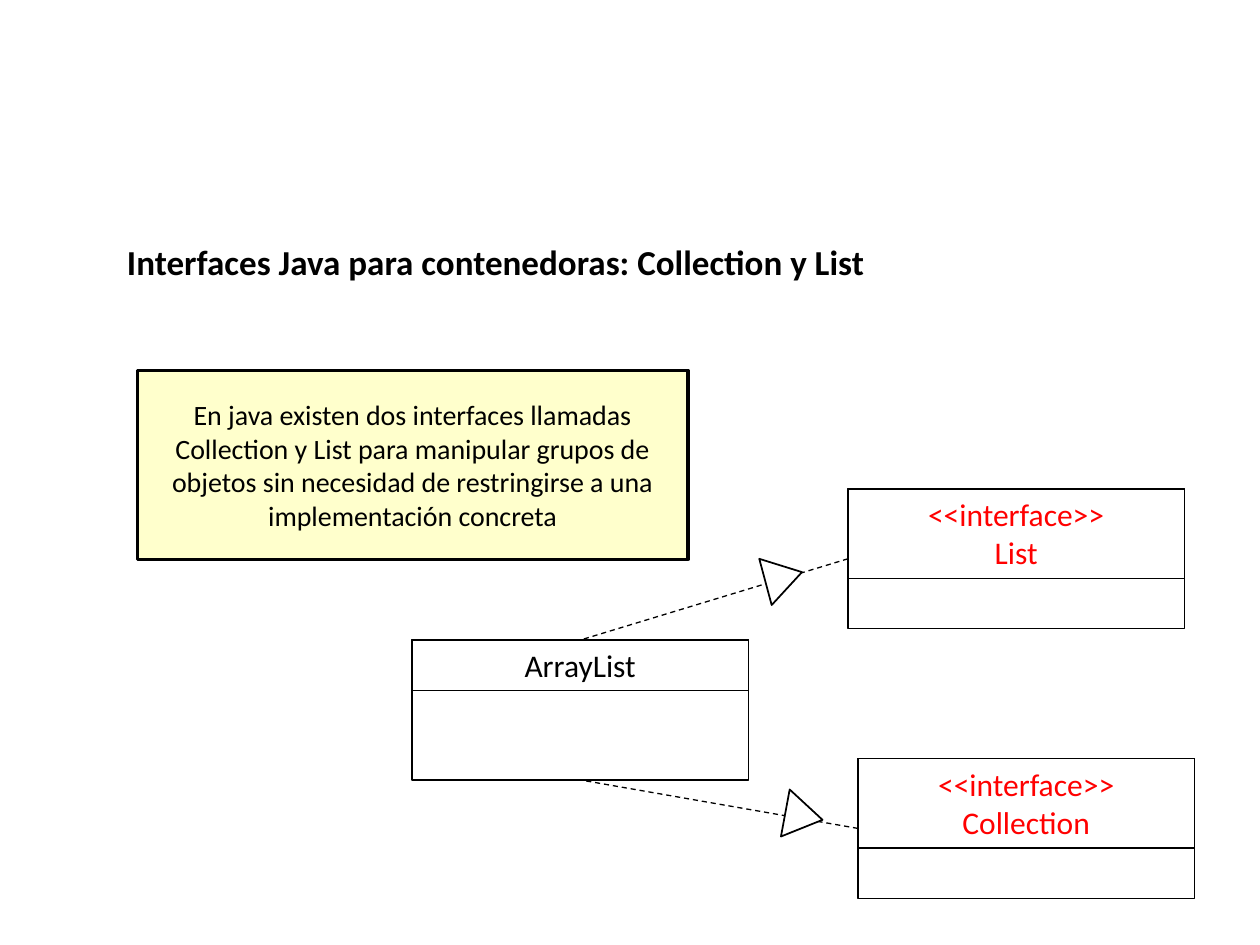
from pptx import Presentation
from pptx.dml.color import RGBColor
from pptx.enum.dml import MSO_LINE
from pptx.enum.shapes import MSO_CONNECTOR, MSO_SHAPE
from pptx.enum.text import MSO_ANCHOR, PP_ALIGN
from pptx.oxml.ns import qn
from pptx.util import Inches, Pt
from lxml.etree import SubElement

BLACK = RGBColor(0x00, 0x00, 0x00)
RED = RGBColor(0xFF, 0x00, 0x00)
WHITE = RGBColor(0xFF, 0xFF, 0xFF)
CREAM = RGBColor(0xFF, 0xFF, 0xCC)

# Grid of 100 columns by 75 rows
deck = Presentation()
deck.slide_width, deck.slide_height = Inches(10), Inches(7.5)
COL, ROW = deck.slide_width / 100, deck.slide_height / 75
slide = deck.slides.add_slide(deck.slide_layouts[6])
shapes = slide.shapes


def add_text(shape, lines, anchor, align, **style):
    frame = shape.text_frame
    frame.word_wrap = True
    frame.vertical_anchor = anchor
    frame.text = "\n".join(lines)
    for para in frame.paragraphs:
        para.alignment = align
        para.font.name = "Calibri"
        para.font.color.rgb = style.pop("color", None) or ink
        for key, value in style.items():
            setattr(para.font, key, value)


def add_box(kind, x, y, w, h, fill=None, width=0.75):
    box = shapes.add_shape(kind, *(int(n) for n in (x * COL, y * ROW, w * COL, h * ROW)))
    box.shadow.inherit = False
    if fill is None:
        box.fill.background()
    else:
        box.fill.solid()
        box.fill.fore_color.rgb = fill
    box.line.color.rgb = BLACK
    box.line.width = Pt(width)
    return box


# Title
ink = BLACK
title = shapes.add_textbox(*(int(n) for n in (9.1 * COL, 18.6 * ROW, 84 * COL, 4.4 * ROW)))
add_text(title, ["Interfaces Java para contenedoras: Collection y List"],
         MSO_ANCHOR.TOP, PP_ALIGN.LEFT, size=Pt(20), bold=True)

# Class boxes, each with a name compartment on top
types = {
    "ArrayList": (32.7, 50.8, 4, BLACK, ["ArrayList"]),
    "List": (67.3, 38.8, 7.1, RED, ["<<interface>>", "List"]),
    "Collection": (68.1, 60.2, 7.1, RED, ["<<interface>>", "Collection"]),
}
boxes = {}
for name, (x, y, h, ink, lines) in types.items():
    boxes[name] = add_box(MSO_SHAPE.RECTANGLE, x, y, 26.7, 11.1)
    head = add_box(MSO_SHAPE.RECTANGLE, x, y, 26.7, h)
    add_text(head, lines, MSO_ANCHOR.TOP, PP_ALIGN.CENTER, size=Pt(18))

# Dashed links from each interface to the class
for name, side in (("List", 0), ("Collection", 2)):
    link = shapes.add_connector(MSO_CONNECTOR.STRAIGHT, 0, 0, 0, 0)
    link.begin_connect(boxes[name], 1)
    link.end_connect(boxes["ArrayList"], side)
    link.line.color.rgb = BLACK
    link.line.width = Pt(0.75)
    link.line.dash_style = MSO_LINE.DASH
    SubElement(link._element.spPr, qn("a:effectLst"))

# Hollow arrowheads
for x, y, turn in ((60.3, 44.3, 75), (61.9, 63.3, 100.5)):
    tip = add_box(MSO_SHAPE.ISOSCELES_TRIANGLE, x, y, 3.8, 3, WHITE, 1)
    tip.rotation = turn

# Note
ink = BLACK
note = add_box(MSO_SHAPE.RECTANGLE, 10.9, 29.4, 43.7, 15, CREAM, 2)
add_text(note, ["En java existen dos interfaces llamadas Collection y List para "
                "manipular grupos de objetos sin necesidad de restringirse a una "
                "implementación concreta"],
         MSO_ANCHOR.MIDDLE, PP_ALIGN.CENTER, size=Pt(16))

deck.save("out.pptx")
